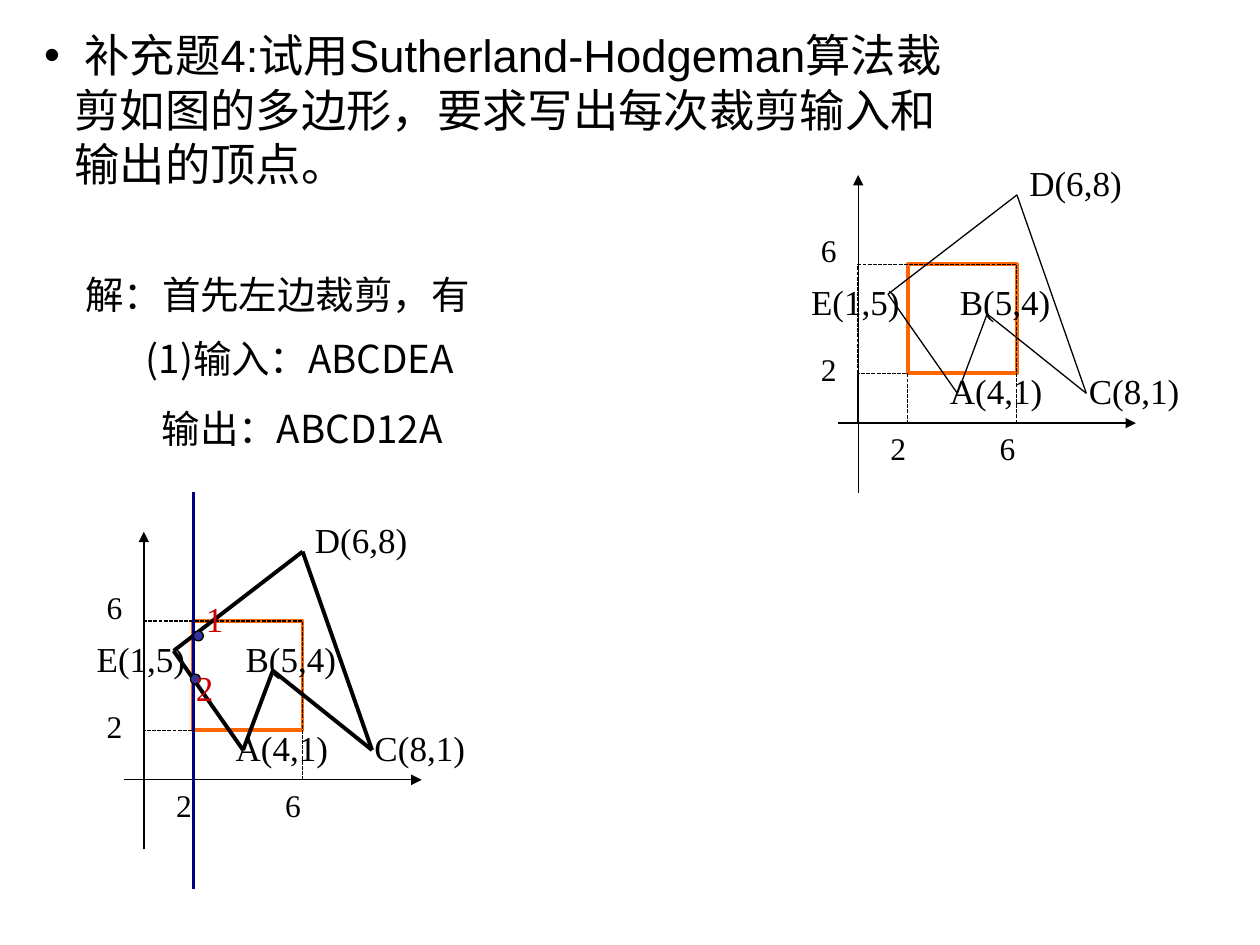
from lxml.etree import SubElement
from pptx import Presentation
from pptx.dml.color import RGBColor
from pptx.enum.dml import MSO_LINE
from pptx.enum.shapes import MSO_CONNECTOR, MSO_SHAPE
from pptx.oxml.ns import qn
from pptx.util import Cm, Pt

BLACK = RGBColor(0x00, 0x00, 0x00)
ORANGE = RGBColor(0xFF, 0x66, 0x00)
NAVY = RGBColor(0x00, 0x00, 0x80)
INDIGO = RGBColor(0x33, 0x33, 0x99)
RED = RGBColor(0xCC, 0x00, 0x00)
SERIF = "Times New Roman"
CHINESE = "Noto Sans CJK SC"


def add_text(shapes, text, left, top, width, height, size=20, font=SERIF,
             color=BLACK, bullet=False, gap=0, last_indent=0):
    box = shapes.add_textbox(Cm(left), Cm(top), Cm(width), Cm(height))
    frame = box.text_frame
    frame.word_wrap = True
    for index, line in enumerate(text.split("\n")):
        paragraph = frame.add_paragraph() if index else frame.paragraphs[0]
        properties = paragraph._p.get_or_add_pPr()
        if bullet:
            properties.set("marL", str(Cm(0.61)))
            properties.set("indent", str(-Cm(0.61)))
            SubElement(properties, qn("a:buFont")).set("typeface", "Arial")
            SubElement(properties, qn("a:buChar")).set("char", "•")
        if index:
            paragraph.space_before = Pt(gap)
            properties.set("marL", str(Cm(last_indent)))
        run = paragraph.add_run()
        run.text = line
        run.font.size = Pt(size)
        run.font.name = font
        run.font.color.rgb = color
        SubElement(run._r.get_or_add_rPr(), qn("a:ea")).set("typeface", CHINESE)


def add_line(shapes, start, end, color=BLACK, width=0.75, arrow=False):
    line = shapes.add_connector(MSO_CONNECTOR.STRAIGHT, Cm(start[0]), Cm(start[1]),
                                Cm(end[0]), Cm(end[1]))
    line.line.color.rgb = color
    line.line.width = Pt(width)
    if arrow:
        SubElement(line.line._get_or_add_ln(), qn("a:tailEnd")).set("type", "triangle")
    SubElement(line._element.spPr, qn("a:effectLst"))


presentation = Presentation()
presentation.slide_width = Cm(25.4)
presentation.slide_height = Cm(19.05)
slide = presentation.slides.add_slide(presentation.slide_layouts[6])

add_text(slide.shapes,
         " 补充题4:试用Sutherland-Hodgeman算法裁剪如图的多边形，要求写出每次裁剪输入和输出的顶点。",
         0.64, 0.43, 19.02, 3.73, size=25.9, font="Arial", bullet=True)
add_text(slide.shapes, "解：首先左边裁剪，有", 1.47, 5.33, 12.7, 1.19, size=22)
add_text(slide.shapes, "(1)输入：ABCDEA\n输出：ABCD12A", 2.69, 6.63, 13.61, 2.62,
         size=22, font=CHINESE, gap=13.8, last_indent=0.32)

vertices = [(2, 0.6), (0.6, 2.6), (3.2, 4.6), (4.6, 0.6), (2.6, 2.2)]
vertex_labels = [("A(4,1)", 1.6, 1.2), ("B(5,4)", 1.8, 3), ("C(8,1)", 4.4, 1.2),
                 ("D(6,8)", 3.2, 5.4), ("E(1,5)", -1.2, 3)]
tick_labels = [("2", 0.4, 0), ("6", 2.6, 0), ("2", -1, 1.6), ("6", -1, 4)]
rectangles = [(1, 3.2, 2.2, ORANGE, 2.25, MSO_LINE.SOLID),
              (0, 3.2, 3.2, BLACK, 0.75, MSO_LINE.SQUARE_DOT),
              (0, 1, 1, BLACK, 0.75, MSO_LINE.SQUARE_DOT)]
figures = [(17.3, 8.53, 0.75, False), (2.9, 15.72, 2.25, True)]

for origin_x, origin_y, edge_width, clipped in figures:
    shapes = slide.shapes.add_group_shape().shapes
    add_line(shapes, (origin_x - 0.4, origin_y), (origin_x + 5.6, origin_y), arrow=True)
    add_line(shapes, (origin_x, origin_y + 1.4), (origin_x, origin_y - 5), arrow=True)

    for x, y, side, color, width, dash in rectangles:
        shape = shapes.add_shape(MSO_SHAPE.RECTANGLE, Cm(origin_x + x),
                                 Cm(origin_y - y), Cm(side), Cm(side))
        shape.shadow.inherit = False
        shape.fill.background()
        shape.line.color.rgb = color
        shape.line.width = Pt(width)
        shape.line.dash_style = dash

    corners = [(origin_x + x, origin_y - y) for x, y in vertices]
    for start, end in zip(corners, corners[1:] + corners[:1]):
        add_line(shapes, start, end, width=edge_width)

    for text, x, y in tick_labels:
        add_text(shapes, text, origin_x + x, origin_y - y, 1.1, 1.02, size=18)
    for text, x, y in vertex_labels:
        add_text(shapes, text, origin_x + x, origin_y - y, 3, 1.12)

    if clipped:
        add_line(shapes, (origin_x + 1, origin_y - 5.8), (origin_x + 1, origin_y + 2.2),
                 color=NAVY, width=2.25)
        for x, y in [(1, 3), (0.94, 2.13)]:
            shape = shapes.add_shape(MSO_SHAPE.OVAL, Cm(origin_x + x),
                                     Cm(origin_y - y), Cm(0.2), Cm(0.2))
            shape.shadow.inherit = False
            shape.fill.solid()
            shape.fill.fore_color.rgb = INDIGO
            shape.line.color.rgb = BLACK
            shape.line.width = Pt(0.75)
        for text, x, y in [("1", 1, 3.8), ("2", 0.8, 2.4)]:
            add_text(shapes, text, origin_x + x, origin_y - y, 1, 1.12, color=RED)

presentation.save("out.pptx")
